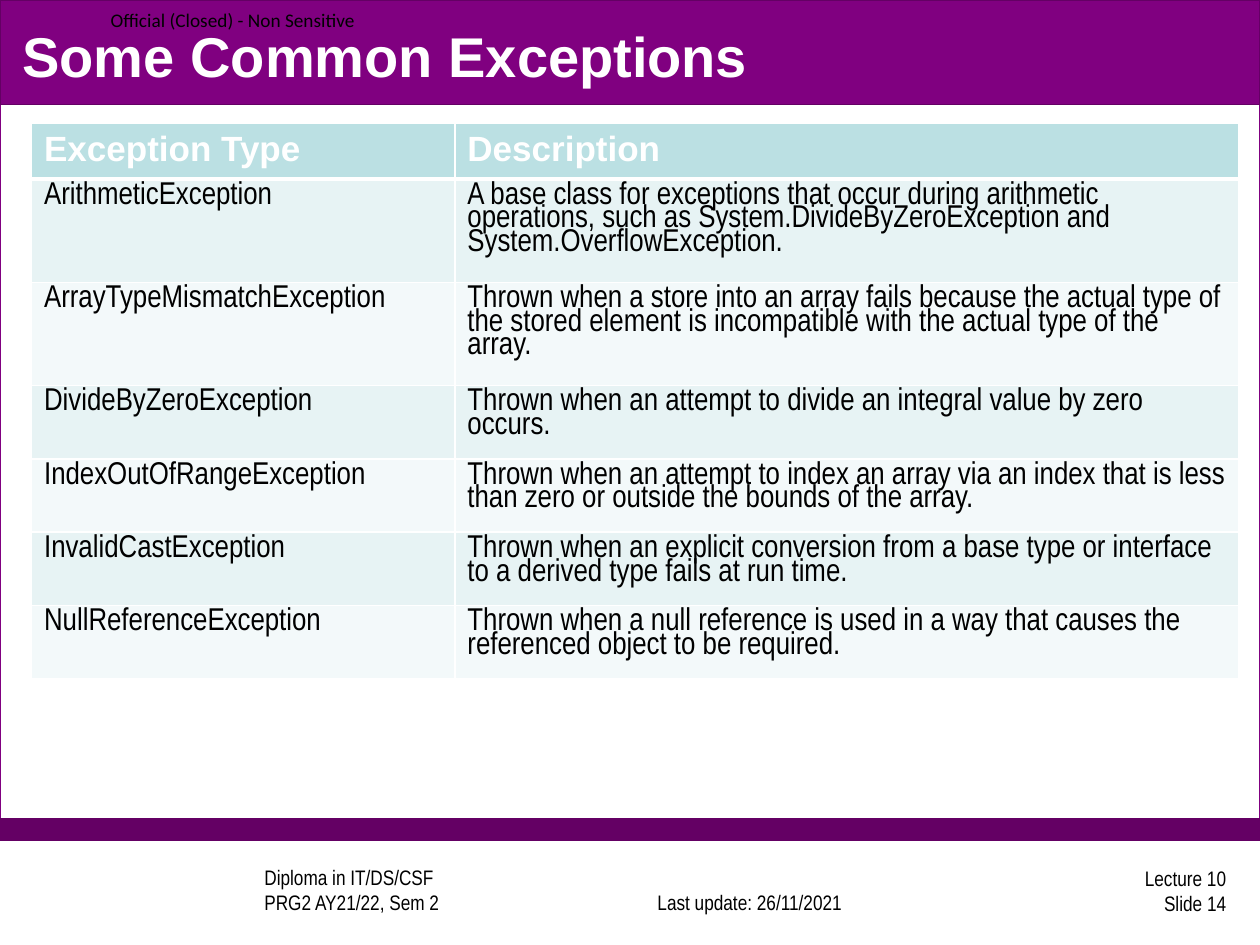
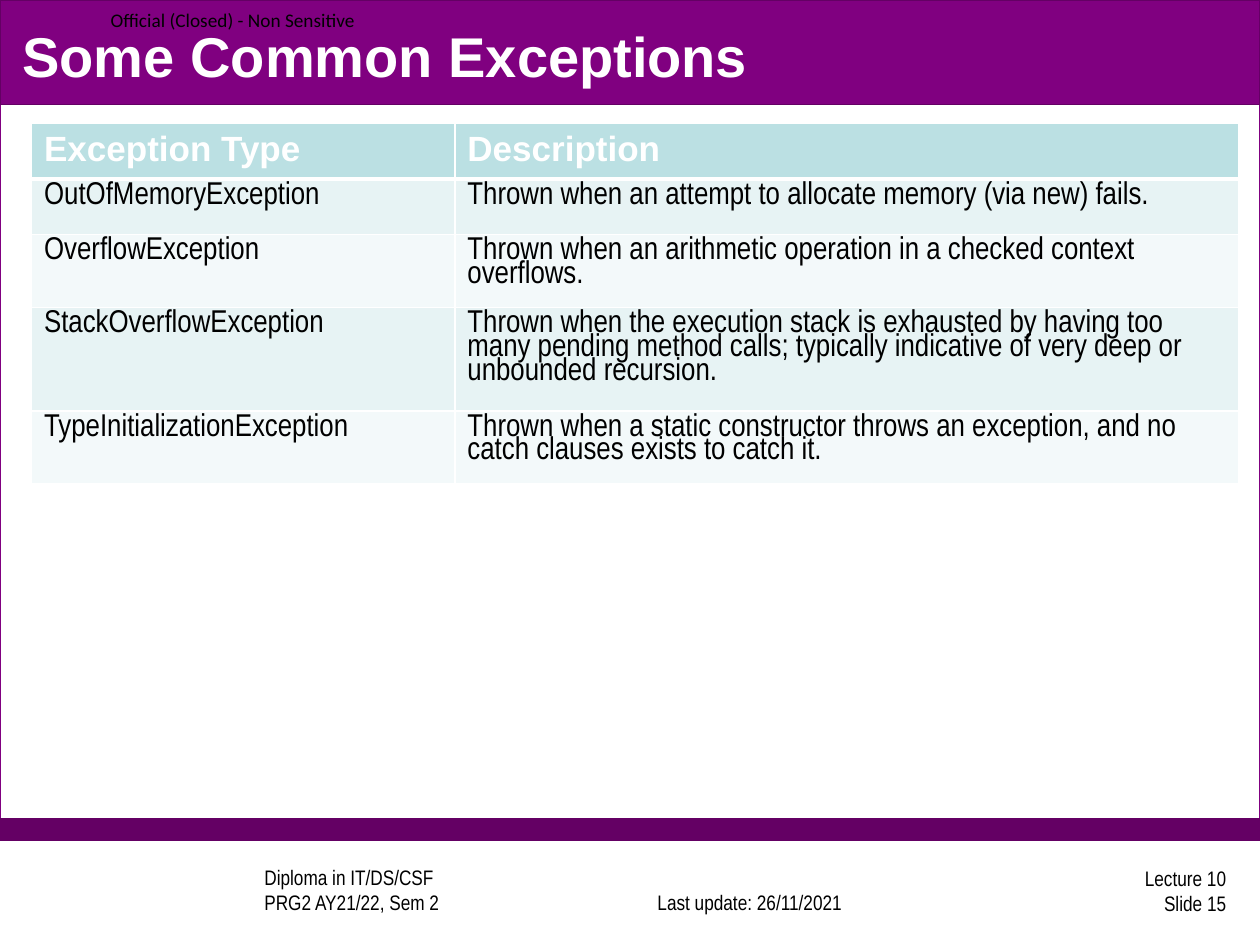
from lxml import etree
from pptx import Presentation
from pptx.dml.color import RGBColor
from pptx.enum import shapes, text
from pptx.oxml.ns import qn
from pptx.util import Inches, Pt

COLORS = {
    "white": "FFFFFF", "black": "000000",
    "purple": "800080", "dark_purple": "640064",
    "header": "BBE0E3", "odd_row": "E7F3F4", "even_row": "F3F9FA",
}
LEFT, CENTER, RIGHT = text.PP_ALIGN.LEFT, text.PP_ALIGN.CENTER, text.PP_ALIGN.RIGHT
MIDDLE, BOTTOM = text.MSO_ANCHOR.MIDDLE, text.MSO_ANCHOR.BOTTOM

TITLE = "Some Common Exceptions"
HEADINGS = ("Exception Type", "Description")
COLUMN_WIDTHS = (3.36, 6.22)
ROW_HEIGHT = 0.44

# Slide number -> rows of the exception table
EXCEPTIONS = {
    14: [
        ("ArithmeticException",
         "A base class for exceptions that occur during arithmetic operations, "
         "such as System.DivideByZeroException and \nSystem.OverflowException."),
        ("ArrayTypeMismatchException",
         "Thrown when a store into an array fails because the actual type of the "
         "stored element is incompatible with the actual type of the array."),
        ("DivideByZeroException",
         "Thrown when an attempt to divide an integral value by zero occurs."),
        ("IndexOutOfRangeException",
         "Thrown when an attempt to index an array via an index that is less than "
         "zero or outside the bounds of the array."),
        ("InvalidCastException",
         "Thrown when an explicit conversion from a base type or interface to a "
         "derived type fails at run time."),
        ("NullReferenceException",
         "Thrown when a null reference is used in a way that causes the "
         "referenced object to be required."),
    ],
    15: [
        ("OutOfMemoryException",
         "Thrown when an attempt to allocate memory (via new) fails."),
        ("OverflowException",
         "Thrown when an arithmetic operation in a checked context overflows."),
        ("StackOverflowException",
         "Thrown when the execution stack is exhausted by having too many pending "
         "method calls; typically indicative of very deep or unbounded recursion."),
        ("TypeInitializationException",
         "Thrown when a static constructor throws an exception, and "
         "no catch clauses exists to catch it."),
    ],
}

# Top, height, fill, line
BANDS = [
    (0, 6.67, "white", "purple"),
    (6.5, 0.17, "dark_purple", "dark_purple"),
    (0, 0.83, "purple", "dark_purple"),
]

# Text, box, anchor, alignment, font, size, colour, bold
LABELS = [
    ("Diploma in IT/DS/CSF\vPRG2 AY21/22, Sem 2", (2, 6.89, 2.67, 0.42),
     BOTTOM, LEFT, "Arial Narrow", 12, "black", False),
    ("Last update: 26/11/2021", (4.91, 6.89, 2.08, 0.42),
     BOTTOM, CENTER, "Arial Narrow", 12, "black", False),
    ("Lecture 10\vSlide {number}", (7.75, 6.86, 2.08, 0.42),
     MIDDLE, RIGHT, "Arial Narrow", 12, "black", False),
    ("Official (Closed) - Non Sensitive", (0.78, 0, 2.3, 0.31),
     MIDDLE, LEFT, "Calibri", 11, "black", False),
    (TITLE, (0.08, 0.13, 9.83, 0.62),
     MIDDLE, LEFT, "Arial", 32, "white", True),
]


def format_runs(tf, font, size, color, bold):
    for p in tf.paragraphs:
        for r in p.runs:
            r.font.name = font
            r.font.size = Pt(size)
            r.font.bold = bold
            r.font.color.rgb = RGBColor.from_string(COLORS[color])


def fill_cell(cell, color, bottom_width):
    """Give a cell its fill and white borders; borders precede the fill in XML."""
    cell.fill.solid()
    cell.fill.fore_color.rgb = RGBColor.from_string(COLORS[color])
    tcPr = cell._tc.get_or_add_tcPr()
    widths = {"a:lnL": 1, "a:lnR": 1, "a:lnT": 1, "a:lnB": bottom_width}
    for i, (tag, width) in enumerate(widths.items()):
        ln = etree.Element(qn(tag), w=str(Pt(width)))
        solid = etree.SubElement(ln, qn("a:solidFill"))
        etree.SubElement(solid, qn("a:srgbClr"), val=COLORS["white"])
        tcPr.insert(i, ln)


prs = Presentation()
prs.slide_width, prs.slide_height = Inches(10), Inches(7.5)

for number, exceptions in EXCEPTIONS.items():
    s = prs.slides.add_slide(prs.slide_layouts[6])

    for top, height, fill, line in BANDS:
        sp = s.shapes.add_shape(shapes.MSO_SHAPE.RECTANGLE, 0, Inches(top),
                                prs.slide_width, Inches(height))
        sp.shadow.inherit = False
        sp.fill.solid()
        sp.fill.fore_color.rgb = RGBColor.from_string(COLORS[fill])
        sp.line.color.rgb = RGBColor.from_string(COLORS[line])
        sp.line.width = Pt(0.75)

    for label, box, anchor, align, font, size, color, bold in LABELS:
        tf = s.shapes.add_textbox(*map(Inches, box)).text_frame
        tf.word_wrap = True
        tf.vertical_anchor = anchor
        tf.text = label.format(number=number)
        tf.paragraphs[0].alignment = align
        format_runs(tf, font, size, color, bold)

    rows = [HEADINGS] + exceptions
    table = s.shapes.add_table(len(rows), len(HEADINGS), Inches(0.25), Inches(0.98),
                               Inches(sum(COLUMN_WIDTHS)),
                               Inches(ROW_HEIGHT * len(rows))).table
    table.horz_banding = False
    for column, width in zip(table.columns, COLUMN_WIDTHS):
        column.width = Inches(width)
    for i, row in enumerate(rows):
        for cell, value in zip(table.rows[i].cells, row):
            cell.text = value
            if i == 0:
                fill_cell(cell, "header", 3)
                format_runs(cell.text_frame, "Arial", 20, "white", True)
            else:
                fill_cell(cell, "odd_row" if i % 2 else "even_row", 1)
                format_runs(cell.text_frame, "Arial Narrow", 18, "black", False)
                for p in cell.text_frame.paragraphs:
                    p.line_spacing = 0.8

prs.save("out.pptx")
